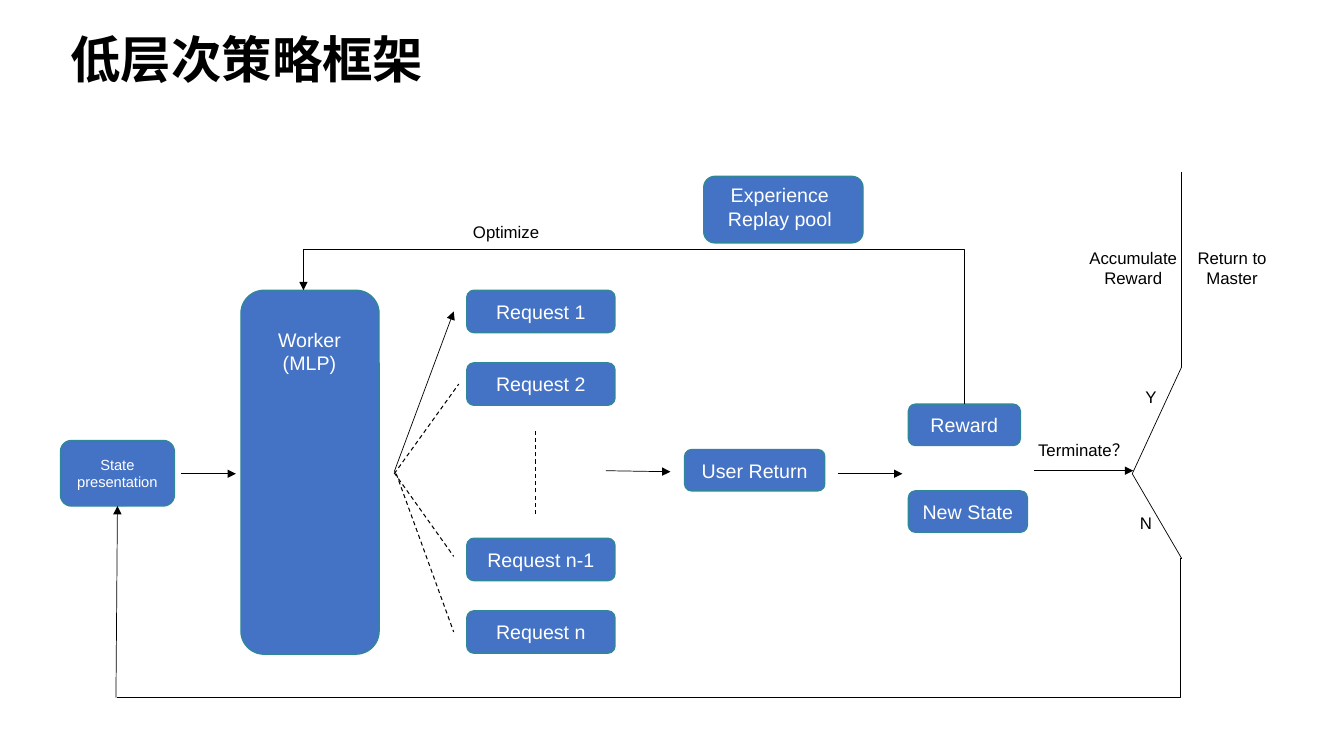
from pptx import Presentation
from pptx import util as u
from pptx.dml.color import RGBColor
from pptx.enum import dml, shapes, text
from pptx.oxml.ns import qn
from lxml import etree

BLUE = RGBColor(0x44, 0x72, 0xC4)
TEAL = RGBColor(0x30, 0x87, 0x9A)
BLACK = RGBColor(0, 0, 0)
WHITE = RGBColor(255, 255, 255)


class Diagram:
    font = "Arial"
    title_font = "Noto Sans CJK SC"

    def __init__(self, deck):
        self.page = deck.slides.add_slide(deck.slide_layouts[6])

    def fill_text(self, box, words, size, color, align=text.PP_ALIGN.CENTER):
        frame = box.text_frame
        frame.word_wrap = True
        frame.text = words
        for para in frame.paragraphs:
            para.alignment = align
            for span in para.runs:
                span.font.name = self.font
                span.font.size = u.Pt(size)
                span.font.color.rgb = color

    def title(self, words, left, top, width, height):
        box = self.page.shapes.add_textbox(*map(u.Inches, (left, top, width, height)))
        self.fill_text(box, words, 36, BLACK, text.PP_ALIGN.LEFT)
        box.text_frame.vertical_anchor = text.MSO_ANCHOR.MIDDLE
        para = box.text_frame.paragraphs[0]
        para.line_spacing = 0.9
        font = para.runs[0].font
        font.bold = True
        font.name = self.title_font
        properties = para.runs[0]._r.get_or_add_rPr()
        etree.SubElement(properties, qn("a:ea")).set("typeface", self.title_font)

    def label(self, words, left, top, width, height=0.37, size=12, color=BLACK):
        box = self.page.shapes.add_textbox(*map(u.Inches, (left, top, width, height)))
        self.fill_text(box, words, size, color)

    def node(self, words, left, top, width, height=0.41, size=14):
        box = self.page.shapes.add_shape(
            shapes.MSO_SHAPE.ROUNDED_RECTANGLE, *map(u.Inches, (left, top, width, height)))
        box.shadow.inherit = False
        box.fill.solid()
        box.fill.fore_color.rgb = BLUE
        box.line.color.rgb = TEAL
        box.line.width = u.Pt(1)
        if words:
            self.fill_text(box, words, size, WHITE)
            box.text_frame.vertical_anchor = text.MSO_ANCHOR.MIDDLE
        return box

    def line(self, start, end, arrow=False, dashed=False, kind=shapes.MSO_CONNECTOR.STRAIGHT):
        line = self.page.shapes.add_connector(kind, *map(u.Inches, start + end))
        line.line.color.rgb = BLACK
        line.line.width = u.Pt(0.75 if dashed else 0.5)
        if dashed:
            line.line.dash_style = dml.MSO_LINE.DASH
        properties = line._element.spPr
        if arrow:
            etree.SubElement(properties.find(qn("a:ln")), qn("a:tailEnd")).set("type", "triangle")
        etree.SubElement(properties, qn("a:effectLst"))
        return line

    def elbow(self, start, end, bend):
        line = self.line(start, end, kind=shapes.MSO_CONNECTOR.ELBOW)
        guides = line._element.spPr.find(qn("a:prstGeom")).get_or_add_avLst()
        guide = etree.SubElement(guides, qn("a:gd"))
        guide.set("name", "adj1")
        guide.set("fmla", f"val {bend}")
        return line


def main():
    deck = Presentation()
    deck.slide_width, deck.slide_height = u.Inches(13.33), u.Inches(7.5)
    diagram = Diagram(deck)
    diagram.title("低层次策略框架", 0.6, 0.29, 11.05, 0.66)

    state = diagram.node("State presentation", 0.6, 4.37, 1.13, 0.65, 10.5)
    diagram.node("", 2.39, 2.88, 1.37, 3.61)
    diagram.label("Worker\n(MLP)", 2.6, 3.2, 0.94, 0.69, 14, WHITE)
    for name, top in (("1", 2.88), ("2", 3.6), ("n-1", 5.34), ("n", 6.06)):
        diagram.node(f"Request {name}", 4.63, top, 1.47, 0.42)
    diagram.node("User Return", 6.79, 4.46, 1.39)
    reward = diagram.node("Reward", 9.01, 4.01, 1.11)
    diagram.node("New State", 9.01, 4.87, 1.18)
    diagram.node("", 6.98, 1.75, 1.58, 0.66)
    diagram.label("Experience\nReplay pool", 7.11, 1.77, 1.25, 0.58, 14, WHITE)

    for start, end in (
        ((1.8, 4.7), (2.34, 4.7)),
        ((3.91, 4.68), (4.5, 3.09)),
        ((6.01, 4.67), (6.65, 4.68)),
        ((8.31, 4.7), (8.95, 4.7)),
        ((10.26, 4.67), (11.24, 4.67)),
        ((3.01, 2.47), (3.01, 2.88)),
    ):
        diagram.line(start, end, arrow=True)

    for start, end in (
        ((3.91, 4.7), (4.55, 3.81)),
        ((5.31, 5.1), (5.31, 4.25)),
        ((3.91, 4.69), (4.5, 5.52)),
        ((3.93, 4.7), (4.5, 6.27)),
    ):
        diagram.line(start, end, dashed=True)

    fork = (11.23, 4.7)
    yes, no = (11.72, 3.64), (11.72, 5.54)
    diagram.line(fork, yes)
    diagram.line(fork, no)
    diagram.line(yes, (11.72, 1.71))

    optimize = diagram.elbow((3.01, 2.47), (9.56, 4.01), 100000)
    optimize.end_connect(reward, 0)
    diagram.elbow(no, (1.16, 6.92), 100)
    restart = diagram.line((1.15, 6.92), (1.16, 5.02), arrow=True)
    restart.end_connect(state, 2)

    diagram.label("Optimize", 4.55, 2.15, 0.94)
    diagram.label("Terminate？", 10.19, 4.31, 1.11)
    diagram.label("Y", 11.23, 3.79, 0.37)
    diagram.label("N", 11.18, 5.04, 0.37)
    diagram.label("Accumulate\nReward", 10.63, 2.41, 1.22, 0.61)
    diagram.label("Return to\nMaster", 11.61, 2.41, 1.22, 0.61)

    deck.save("out.pptx")


if __name__ == "__main__":
    main()
